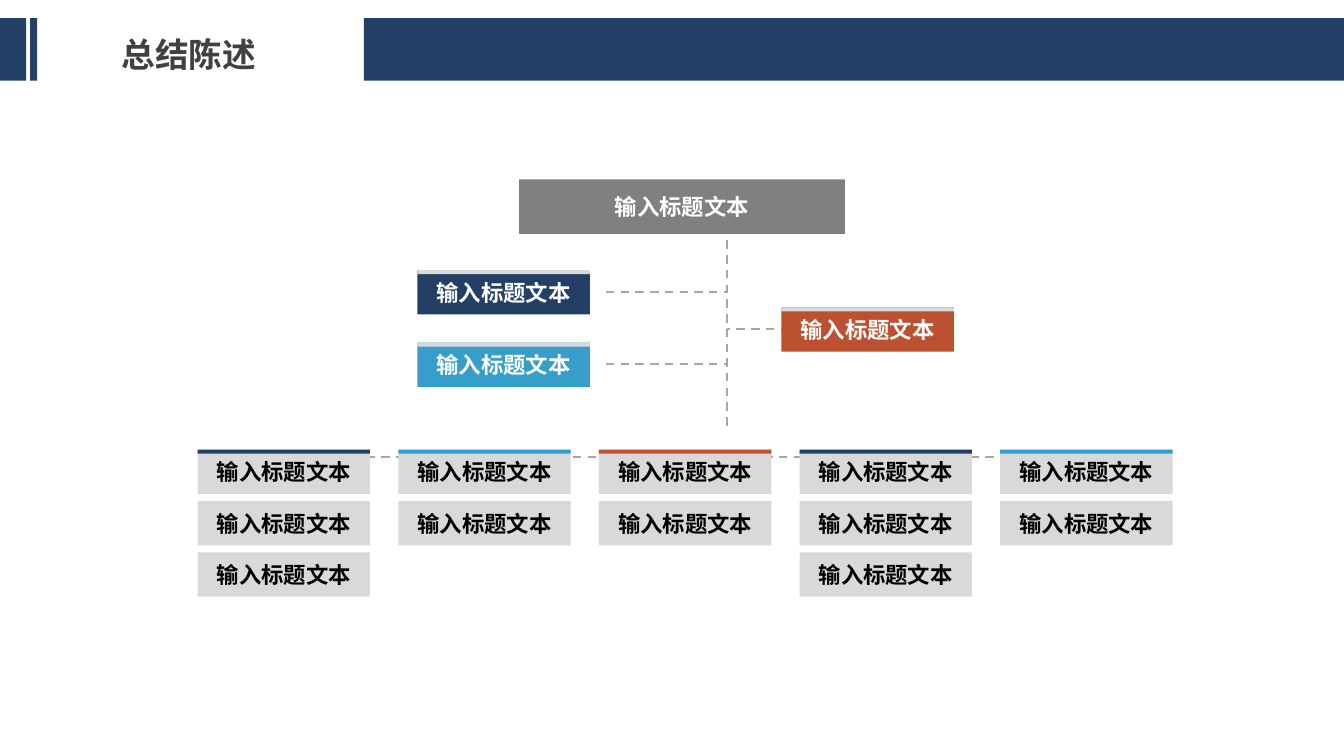
from lxml import etree
from pptx import Presentation
from pptx.dml.color import RGBColor
from pptx.enum.dml import MSO_LINE
from pptx.enum.shapes import MSO_CONNECTOR, MSO_SHAPE
from pptx.enum.text import MSO_ANCHOR, PP_ALIGN
from pptx.oxml.ns import qn
from pptx.util import Inches, Pt

RECT = MSO_SHAPE.RECTANGLE
LINE = MSO_CONNECTOR.STRAIGHT
DASH = MSO_LINE.DASH
CENTER = PP_ALIGN.CENTER
MIDDLE = MSO_ANCHOR.MIDDLE

NAVY, SKY, RUST = "233F66", "379ECA", "BC5131"
PALE, GRAY, RULE = "D9D9D9", "808080", "A6A6A6"
WHITE, BLACK, DARK = "FFFFFF", "000000", "404040"
CJK = "Noto Sans CJK SC"
LABEL = "输入标题文本"
BOX_W, BOX_H, CAP_H = 1.71, 0.44, 0.04


def color(code):
    return RGBColor.from_string(code)


def write(frame, text, size=16, font="Arial", ink=BLACK, wrap=False, space=1.0):
    """Put one bold, centred line of text in a text frame."""
    frame.word_wrap = wrap
    frame.vertical_anchor = MIDDLE
    para = frame.paragraphs[0]
    para.alignment = CENTER
    para.line_spacing = space
    run = para.add_run()
    run.text = text
    run.font.size = Pt(size)
    run.font.bold = True
    run.font.color.rgb = color(ink)
    run.font.name = font
    east = etree.SubElement(run.font._element, qn("a:ea"))
    east.set("typeface", CJK)


class Chart:
    def __init__(self, slide):
        self.shapes = slide.shapes

    def rect(self, x, y, w, h, fill):
        shape = self.shapes.add_shape(RECT, Inches(x), Inches(y), Inches(w), Inches(h))
        shape.shadow.inherit = False
        shape.fill.solid()
        shape.fill.fore_color.rgb = color(fill)
        shape.line.fill.background()
        return shape

    def box(self, x, y, fill=PALE, ink=BLACK, cap=None, w=BOX_W, h=BOX_H):
        """Draw a labelled box, with a thin strip on top if cap is a colour."""
        write(self.rect(x, y, w, h, fill).text_frame, LABEL, ink=ink)
        if cap:
            self.rect(x, y, w, CAP_H, cap)

    def dash(self, x1, y1, x2, y2):
        line = self.shapes.add_connector(LINE, Inches(x1), Inches(y1), Inches(x2), Inches(y2))
        line.line.color.rgb = color(RULE)
        line.line.width = Pt(1.5)
        line.line.dash_style = DASH
        etree.SubElement(line._element.spPr, qn("a:effectLst"))

    def text(self, x, y, w, h, text, **style):
        box = self.shapes.add_textbox(Inches(x), Inches(y), Inches(w), Inches(h))
        write(box.text_frame, text, **style)


def header(chart):
    for x, w in ((3.61, 9.72), (0, 0.26), (0.3, 0.07)):
        chart.rect(x, 0.18, w, 0.62, NAVY)
    chart.text(0.96, 0.23, 1.83, 0.54, "总结陈述", size=24, font=CJK,
               ink=DARK, wrap=True, space=1.2)


def top(chart):
    """Draw the root box, its trunk and the three side boxes."""
    trunk = 7.21
    chart.dash(trunk, 2.24, trunk, 4.28)
    for end, y in ((6.01, 2.9), (6.01, 3.61), (8.41, 3.26)):
        chart.dash(end, y, trunk, y)
    chart.box(5.15, 1.78, GRAY, WHITE, w=3.23, h=0.54)
    for x, y, fill in ((4.14, 2.68, NAVY), (4.14, 3.4, SKY), (7.75, 3.05, RUST)):
        chart.box(x, y, fill, WHITE, cap=PALE)


def columns(chart):
    """Draw the five capped columns, hung from one dashed rail."""
    left, first, rail = 1.96, 4.46, 4.53
    step, row = 1.99, 0.51
    caps = (NAVY, SKY, RUST, NAVY, SKY)
    counts = (3, 2, 2, 3, 2)
    chart.dash(2.76, rail, 10.78, rail)
    for i in range(len(caps)):
        drop = 2.76 + 2 * i
        chart.dash(drop, rail, drop, 5.23)
    for i, (cap, count) in enumerate(zip(caps, counts)):
        for j in range(count):
            chart.box(left + i * step, first + j * row, cap=None if j else cap)


def main():
    deck = Presentation()
    deck.slide_width, deck.slide_height = Inches(13.33), Inches(7.5)
    chart = Chart(deck.slides.add_slide(deck.slide_layouts[6]))
    header(chart)
    top(chart)
    columns(chart)
    deck.save("out.pptx")


if __name__ == "__main__":
    main()
